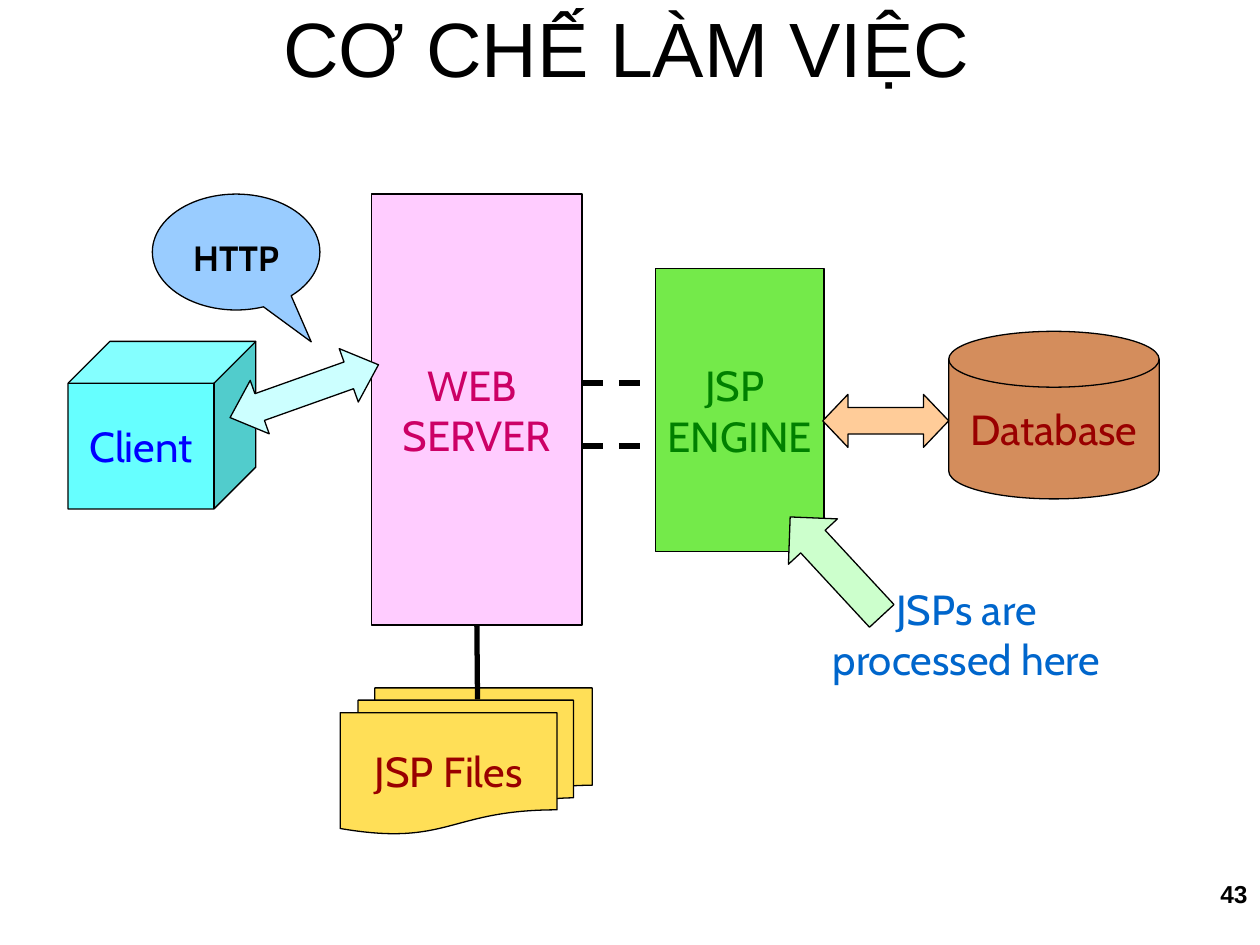
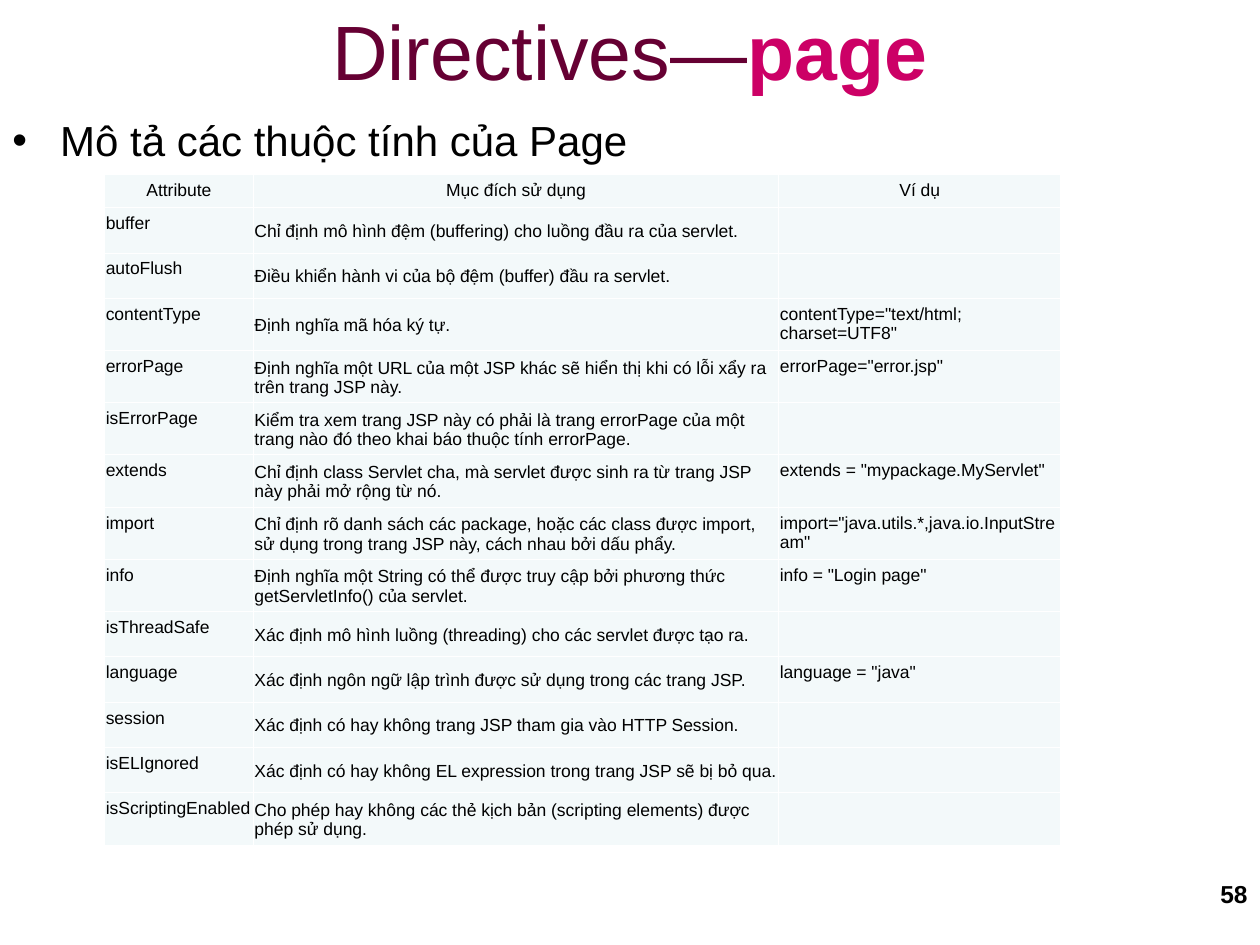
from lxml import etree
from pptx import Presentation
from pptx.dml.color import RGBColor
from pptx.enum.dml import MSO_LINE
from pptx.enum.shapes import MSO_CONNECTOR, MSO_SHAPE
from pptx.enum.text import MSO_ANCHOR as Anchor, PP_ALIGN as Align
from pptx.oxml.ns import qn
from pptx.util import Inches, Pt

BLACK = RGBColor(0x00, 0x00, 0x00)
WHITE = RGBColor(0xFF, 0xFF, 0xFF)
PLUM = RGBColor(0x66, 0x00, 0x33)
MAGENTA = RGBColor(0xCC, 0x00, 0x66)
PINK = RGBColor(0xFF, 0xCC, 0xFF)
LIME = RGBColor(0x74, 0xEA, 0x4A)
GREEN = RGBColor(0x00, 0x80, 0x00)
PALE_GREEN = RGBColor(0xCC, 0xFF, 0xCC)
COPPER = RGBColor(0xD4, 0x8D, 0x5C)
DARK_RED = RGBColor(0x99, 0x00, 0x00)
CYAN = RGBColor(0x66, 0xFF, 0xFF)
PALE_CYAN = RGBColor(0xCC, 0xFF, 0xFF)
BLUE = RGBColor(0x00, 0x00, 0xFF)
LINK_BLUE = RGBColor(0x00, 0x66, 0xCC)
SKY = RGBColor(0x99, 0xCC, 0xFF)
YELLOW = RGBColor(0xFF, 0xDF, 0x57)
PEACH = RGBColor(0xFF, 0xCC, 0x99)
CELL_FILL = RGBColor(0xF3, 0xF9, 0xFA)

BODY_FONT = "Arial"
DIAGRAM_FONT = "Cabin"

COLUMN_WIDTHS = (1.18, 4.17, 2.24)
HEADER_HEIGHT = 0.18
ROW_HEIGHT = 0.36
ATTRIBUTES = [
    ("Attribute", "Mục đích sử dụng", "Ví dụ"),
    ("buffer", "Chỉ định mô hình đệm (buffering) cho luồng đầu ra của servlet.", ""),
    ("autoFlush", "Điều khiển hành vi của bộ đệm (buffer) đầu ra servlet.", ""),
    ("contentType", "Định nghĩa mã hóa ký tự.",
     'contentType="text/html; charset=UTF8"'),
    ("errorPage", "Định nghĩa một URL của một JSP khác sẽ hiển thị khi có lỗi "
     "xẩy ra trên trang JSP này.", 'errorPage="error.jsp"'),
    ("isErrorPage", "Kiểm tra xem trang JSP này có phải là trang errorPage của "
     "một trang nào đó theo khai báo thuộc tính errorPage.", ""),
    ("extends", "Chỉ định class Servlet cha, mà servlet được sinh ra từ trang "
     "JSP này phải mở rộng từ nó.", 'extends = "mypackage.MyServlet"'),
    ("import", "Chỉ định rõ danh sách các package, hoặc các class được import, "
     "sử dụng trong trang JSP này, cách nhau bởi dấu phẩy.",
     'import="java.utils.*,java.io.InputStream"'),
    ("info", "Định nghĩa một String có thể được truy cập bởi phương thức "
     "getServletInfo() của servlet.", 'info = "Login page"'),
    ("isThreadSafe",
     "Xác định mô hình luồng (threading) cho các servlet được tạo ra.", ""),
    ("language", "Xác định ngôn ngữ lập trình được sử dụng trong các trang JSP.",
     'language = "java"'),
    ("session", "Xác định có hay không trang JSP tham gia vào HTTP Session.", ""),
    ("isELIgnored",
     "Xác định có hay không EL expression trong trang JSP sẽ bị bỏ qua.", ""),
    ("isScriptingEnabled", "Cho phép hay không các thẻ kịch bản (scripting "
     "elements) được phép sử dụng.", ""),
]


def style_span(span, size, color, font=BODY_FONT, bold=False):
    span.font.size = Pt(size)
    span.font.name = font
    span.font.bold = bold
    span.font.color.rgb = color


def write(frame, text, size, color, font=BODY_FONT, bold=False, align=Align.CENTER):
    frame.text = text
    for para in frame.paragraphs:
        para.alignment = align
        for span in para.runs:
            style_span(span, size, color, font, bold)


def add_text_box(page, place, *style, **options):
    box = page.shapes.add_textbox(*map(Inches, place))
    box.text_frame.word_wrap = True
    write(box.text_frame, *style, **options)
    return box


def add_title(page, place, spans):
    frame = page.shapes.add_textbox(*map(Inches, place)).text_frame
    frame.word_wrap = True
    frame.vertical_anchor = Anchor.MIDDLE
    frame.margin_left = frame.margin_right = 0
    frame.margin_top = frame.margin_bottom = 0
    para = frame.paragraphs[0]
    para.alignment = Align.CENTER
    for text, color, bold in spans:
        span = para.add_run()
        span.text = text
        style_span(span, 44, color, bold=bold)


def add_page_number(page, number):
    add_text_box(page, (7.17, 6.93, 2.83, 0.52), number, 14, BLACK,
                 bold=True, align=Align.RIGHT)


def add_figure(page, kind, place, fill, adjustments=(), rotation=0):
    figure = page.shapes.add_shape(kind, *map(Inches, place))
    figure.shadow.inherit = False
    figure.fill.solid()
    figure.fill.fore_color.rgb = fill
    figure.line.color.rgb = BLACK
    figure.line.width = Pt(0.75)
    figure.rotation = rotation
    for index, value in enumerate(adjustments):
        figure.adjustments[index] = value
    return figure


def add_node(page, kind, place, fill, text, color):
    node = add_figure(page, kind, place, fill)
    node.text_frame.word_wrap = False
    node.text_frame.vertical_anchor = Anchor.MIDDLE
    write(node.text_frame, text, 24, color, DIAGRAM_FONT)
    return node


def add_line(page, start, end, dash=None):
    line = page.shapes.add_connector(MSO_CONNECTOR.STRAIGHT,
                                     *map(Inches, start + end))
    line.line.color.rgb = BLACK
    line.line.width = Pt(3)
    if dash:
        line.line.dash_style = dash
    etree.SubElement(line._element.spPr, qn("a:effectLst"))
    return line


def add_bullet(para, indent):
    properties = para._p.get_or_add_pPr()
    properties.set("marL", str(Inches(indent)))
    properties.set("indent", str(-Inches(indent)))
    color = etree.SubElement(properties, qn("a:buClr"))
    etree.SubElement(color, qn("a:srgbClr"), val=str(BLACK))
    etree.SubElement(properties, qn("a:buFont"), typeface=BODY_FONT)
    etree.SubElement(properties, qn("a:buChar"), char="•")


def add_borders(cell):
    properties = cell._tc.get_or_add_tcPr()
    for side in ("lnL", "lnR", "lnT", "lnB"):
        border = etree.SubElement(properties, qn(f"a:{side}"), w=str(Pt(0.45)))
        fill = etree.SubElement(border, qn("a:solidFill"))
        etree.SubElement(fill, qn("a:srgbClr"), val=str(WHITE))


def fill_cell(cell, text, is_header, is_middle):
    add_borders(cell)
    cell.fill.solid()
    cell.fill.fore_color.rgb = CELL_FILL
    cell.margin_left = cell.margin_right = Inches(0.01)
    cell.margin_top = Inches(0.05)
    cell.margin_bottom = Inches(0.05 if is_header else 0.03)
    cell.vertical_anchor = Anchor.MIDDLE if is_middle else Anchor.TOP
    write(cell.text_frame, text, 10, BLACK,
          align=Align.CENTER if is_header else Align.LEFT)
    if not text:
        cell.text_frame.paragraphs[0]._p.get_or_add_endParaRPr().set("sz", "1000")


def add_attribute_table(page):
    height = HEADER_HEIGHT + ROW_HEIGHT * (len(ATTRIBUTES) - 1)
    table = page.shapes.add_table(
        len(ATTRIBUTES), len(COLUMN_WIDTHS), Inches(0.83), Inches(1.38),
        Inches(sum(COLUMN_WIDTHS)), Inches(height)).table
    table.first_row = table.horz_banding = False
    for column, width in zip(table.columns, COLUMN_WIDTHS):
        column.width = Inches(width)
    for r, texts in enumerate(ATTRIBUTES):
        table.rows[r].height = Inches(ROW_HEIGHT if r else HEADER_HEIGHT)
        for c, text in enumerate(texts):
            fill_cell(table.cell(r, c), text, r == 0, r == 0 or c == 1)


def build_mechanism(page):
    add_title(page, (0.23, 0.08, 9.49, 0.58), [("CƠ CHẾ LÀM VIỆC", BLACK, False)])
    server = add_node(page, MSO_SHAPE.RECTANGLE, (2.95, 1.54, 1.67, 3.42),
                      PINK, "WEB \nSERVER", MAGENTA)
    add_node(page, MSO_SHAPE.RECTANGLE, (5.2, 2.13, 1.34, 2.25),
             LIME, "JSP \nENGINE", GREEN)
    add_node(page, MSO_SHAPE.FLOWCHART_MAGNETIC_DISK, (7.53, 2.63, 1.67, 1.33),
             COPPER, "Database", DARK_RED)
    add_node(page, MSO_SHAPE.CUBE, (0.54, 2.71, 1.49, 1.33), CYAN, "Client", BLUE)
    add_node(page, MSO_SHAPE.FLOWCHART_MULTIDOCUMENT, (2.7, 5.46, 2, 1.16),
             YELLOW, "JSP Files", DARK_RED)
    files_link = add_line(page, (3.79, 4.96), (3.79, 5.55))
    files_link.begin_connect(server, 2)

    callout = add_figure(page, MSO_SHAPE.OVAL_CALLOUT, (1.21, 1.54, 1.33, 0.92),
                         SKY, (0.448, 0.775))
    callout.text_frame.margin_top = Inches(0.2)
    callout.text_frame.vertical_anchor = Anchor.TOP
    write(callout.text_frame, "HTTP", 20, BLACK, DIAGRAM_FONT, bold=True)

    for y in (3.04, 3.54):
        add_line(page, (4.62, y), (5.2, y), MSO_LINE.DASH)
    add_figure(page, MSO_SHAPE.LEFT_RIGHT_ARROW, (6.53, 3.13, 1, 0.42),
               PEACH, (0.5, 0.477))
    add_text_box(page, (6.33, 4.58, 2.68, 0.9), "JSPs are processed here",
                 24, LINK_BLUE, DIAGRAM_FONT)
    add_figure(page, MSO_SHAPE.RIGHT_ARROW, (6.1, 4.23, 1.07, 0.53),
               PALE_GREEN, (0.5, 0.502), 227.2)
    add_figure(page, MSO_SHAPE.LEFT_RIGHT_ARROW, (1.79, 2.88, 1.25, 0.45),
               PALE_CYAN, (0.5, 0.555), 340.4)
    add_page_number(page, "43")


def build_directives(page):
    add_page_number(page, "58")
    add_title(page, (0, 0.08, 10, 0.63),
              [("Directives—", PLUM, False), ("page", MAGENTA, True)])
    body = add_text_box(page, (0, 0.86, 10, 5.78), "Mô tả các thuộc tính của Page",
                        24, BLACK, align=Align.LEFT)
    add_bullet(body.text_frame.paragraphs[0], 0.38)
    add_attribute_table(page)


def main():
    deck = Presentation()
    deck.slide_width = Inches(10)
    deck.slide_height = Inches(7.5)
    blank = deck.slide_layouts[6]
    for build in (build_mechanism, build_directives):
        build(deck.slides.add_slide(blank))
    deck.save("out.pptx")


if __name__ == "__main__":
    main()
